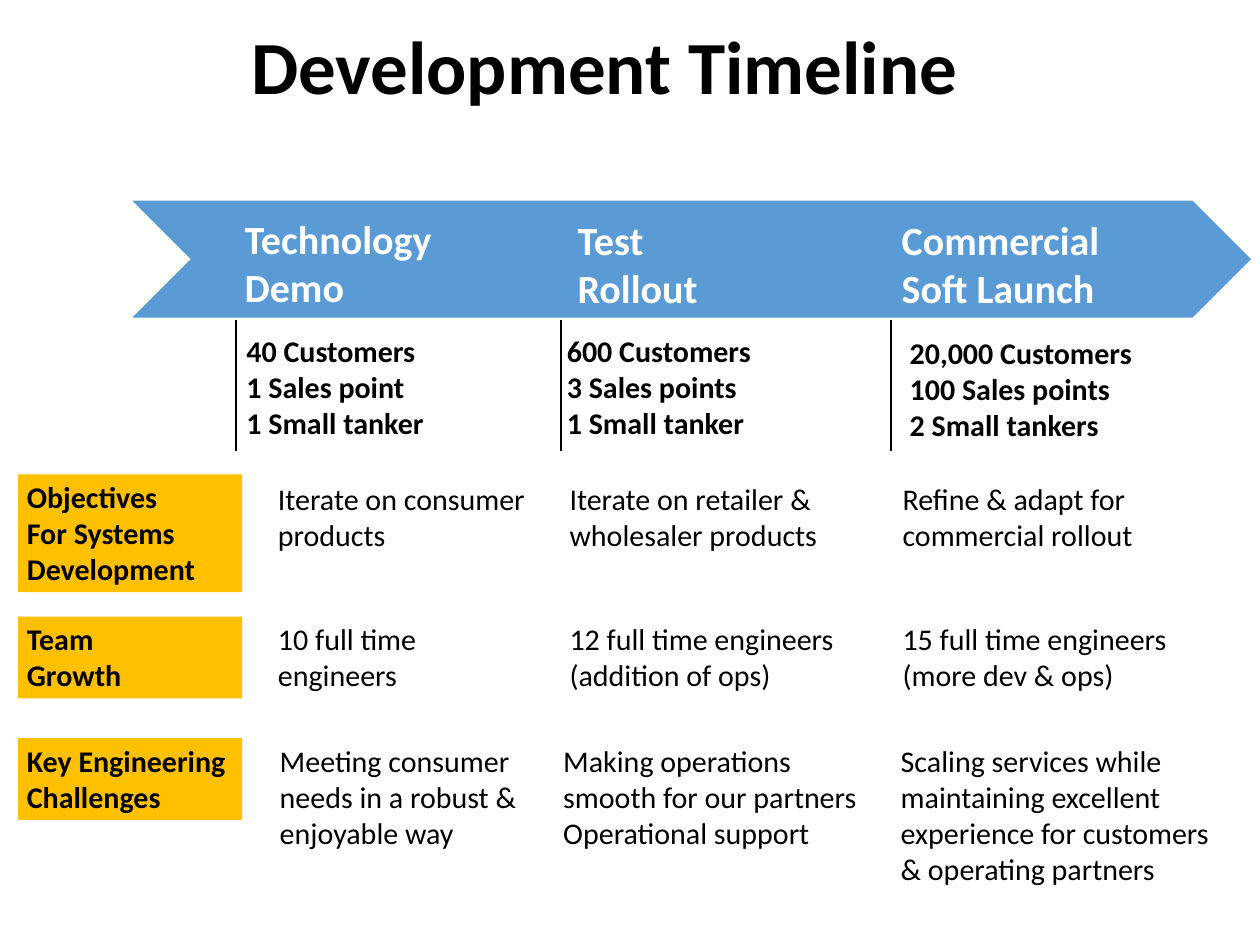
from lxml.etree import SubElement
from pptx import Presentation
from pptx.dml.color import RGBColor
from pptx.enum.shapes import MSO_CONNECTOR as Line, MSO_SHAPE as Shape
from pptx.enum.text import MSO_ANCHOR as Anchor, MSO_AUTO_SIZE as Fit, PP_ALIGN as Align
from pptx.oxml.ns import qn
from pptx.util import Inches, Pt


def paint(target, color):
    """Give a fill a solid colour."""
    target.solid()
    target.fore_color.rgb = RGBColor.from_string(color)


def write(shape, text, size=24, color="000000", bold=False, align=Align.LEFT):
    """Fill a shape: "|" starts a paragraph, a newline breaks the line."""
    frame = shape.text_frame
    frame.word_wrap = True
    frame.auto_size = Fit.SHAPE_TO_FIT_TEXT
    frame.vertical_anchor = Anchor.TOP
    for i, part in enumerate(text.split("|")):
        para = frame.add_paragraph() if i else frame.paragraphs[0]
        para.alignment = align
        for j, line in enumerate(part.split("\n")):
            if j:
                para.add_line_break()
            run = para.add_run()
            run.text = line
            font = run.font
            font.name, font.size, font.bold = "Calibri", Pt(size), bold
            paint(font.fill, color)


prs = Presentation()
prs.slide_width, prs.slide_height = Inches(14), Inches(10.5)
slide = prs.slides.add_slide(prs.slide_layouts[5])
shapes = slide.shapes

title = shapes.title
title.left, title.top = Inches(1), Inches(0.17)
title.width, title.height = Inches(11.43), Inches(1.11)
write(title, "Development Timeline", 60, bold=True, align=Align.CENTER)

arrow = shapes.add_shape(Shape.CHEVRON, Inches(1.47), Inches(2.23), Inches(12.43), Inches(1.3))
arrow.shadow.inherit = False
paint(arrow.fill, "5B9BD5")
arrow.line.fill.background()

# Phase names on the arrow: left, top, width, text
phases = [
    (2.62, 2.33, 2.72, "Technology\nDemo"),
    (6.32, 2.34, 2.83, "Test\nRollout"),
    (9.92, 2.34, 3.89, "Commercial\nSoft Launch"),
]
for left, top, width, text in phases:
    box = shapes.add_textbox(Inches(left), Inches(top), Inches(width), Inches(1.18))
    write(box, text, 32, "FFFFFF", True)

marks = shapes.add_group_shape()
for x in (2.62, 6.23, 9.9):
    mark = marks.shapes.add_connector(
        Line.STRAIGHT, Inches(x), Inches(3.55), Inches(x), Inches(5.01))
    paint(mark.line.fill, "000000")
    mark.line.width = Pt(1.5)
    SubElement(mark.element.spPr, qn("a:effectLst"))

# Scale of each phase
scales = [
    (2.64, 3.65, 3.06, "40 Customers|1 Sales point|1 Small tanker"),
    (6.2, 3.65, 4.35, "600 Customers|3 Sales points|1 Small tanker"),
    (10.01, 3.67, 3.36, "20,000 Customers|100 Sales points|2 Small tankers"),
]
for left, top, width, text in scales:
    box = shapes.add_textbox(Inches(left), Inches(top), Inches(width), Inches(1.31))
    write(box, text, bold=True)

# Rows: label, its top and height, top of the cells, then left, width, height, text
rows = [
    ("Objectives\nFor Systems Development", 5.27, 1.31, 5.29, [
        (2.99, 3.13, 0.91, "Iterate on consumer products"),
        (6.23, 3.59, 0.91, "Iterate on retailer & wholesaler products"),
        (9.93, 3.59, 0.91, "Refine & adapt for commercial rollout"),
    ]),
    ("Team\nGrowth", 6.85, 0.91, 6.84, [
        (2.99, 3.59, 0.91, "10 full time|engineers"),
        (6.23, 3.59, 0.91, "12 full time engineers (addition of ops)"),
        (9.93, 3.87, 0.91, "15 full time engineers|(more dev & ops)"),
    ]),
    ("Key Engineering Challenges", 8.2, 0.91, 8.2, [
        (3.01, 2.88, 1.31, "Meeting consumer needs in a robust & enjoyable way"),
        (6.16, 3.59, 1.31, "Making operations smooth for our partners Operational support"),
        (9.91, 3.9, 1.72, "Scaling services while maintaining excellent "
                          "experience for customers & operating partners"),
    ]),
]
for label, top, height, line_top, cells in rows:
    tag = shapes.add_shape(Shape.RECTANGLE, Inches(0.2), Inches(top), Inches(2.49), Inches(height))
    tag.shadow.inherit = False
    paint(tag.fill, "FFC000")
    tag.line.fill.background()
    write(tag, label, bold=True)
    for left, width, high, text in cells:
        box = shapes.add_textbox(Inches(left), Inches(line_top), Inches(width), Inches(high))
        write(box, text)

prs.save("out.pptx")
